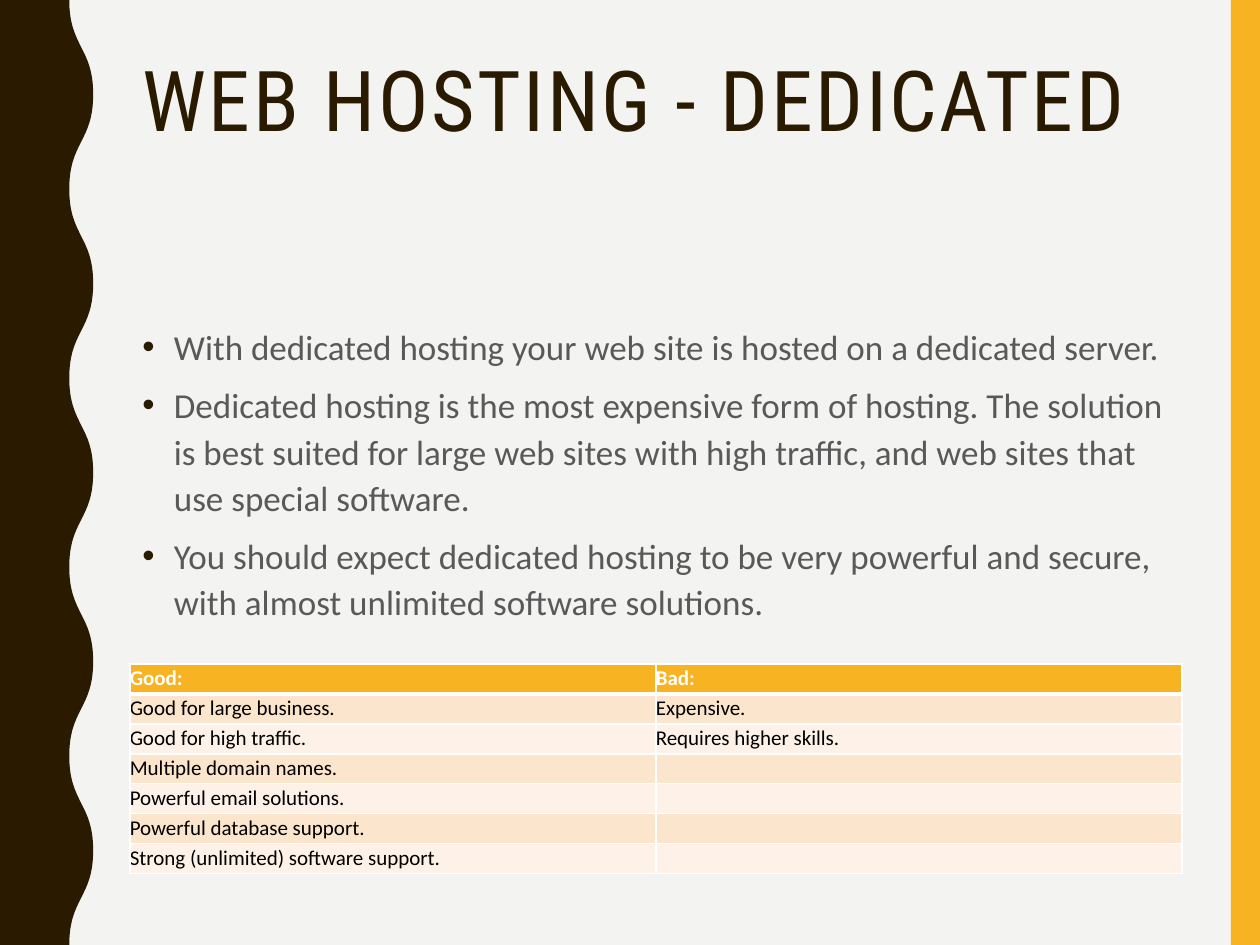
from lxml import etree
from pptx import Presentation
from pptx.dml.color import RGBColor
from pptx.enum.shapes import MSO_SHAPE
from pptx.enum.text import MSO_ANCHOR, MSO_AUTO_SIZE, PP_ALIGN
from pptx.oxml.ns import qn
from pptx.util import Inches, Pt

RECTANGLE = MSO_SHAPE.RECTANGLE
TOP, MIDDLE = MSO_ANCHOR.TOP, MSO_ANCHOR.MIDDLE
LEFT = PP_ALIGN.LEFT
NO_AUTOFIT = MSO_AUTO_SIZE.NONE

PAPER = RGBColor(0xF3, 0xF3, 0xF2)
AMBER = RGBColor(0xF8, 0xB3, 0x23)
BROWN = RGBColor(0x2A, 0x1A, 0x00)
GRAY = RGBColor(0x59, 0x59, 0x59)
PEACH = RGBColor(0xFC, 0xE5, 0xCD)
CREAM = RGBColor(0xFE, 0xF2, 0xE8)
WHITE = RGBColor(0xFF, 0xFF, 0xFF)
BLACK = RGBColor(0x00, 0x00, 0x00)

HEADING_FONT, TEXT_FONT = "Roboto Condensed", "Calibri"

TITLE = "WEB HOSTING - DEDICATED"
POINTS = [
    "With dedicated hosting your web site is hosted on a dedicated server.",
    "Dedicated hosting is the most expensive form of hosting. The solution is best "
    "suited for large web sites with high traffic, and web sites that use special software.",
    "You should expect dedicated hosting to be very powerful and secure, with almost "
    "unlimited software solutions.",
]
GOOD_AND_BAD = [
    ("Good:", "Bad:"),
    ("Good for large business.", "Expensive."),
    ("Good for high traffic.", "Requires higher skills."),
    ("Multiple domain names.", ""),
    ("Powerful email solutions.", ""),
    ("Powerful database support.", ""),
    ("Strong (unlimited) software support.", ""),
]


def add_run(paragraph, text, font, size, color, bold=False):
    """Add one formatted run to a paragraph and return it."""
    run = paragraph.add_run()
    run.text = text
    run.font.name = font
    run.font.size = Pt(size)
    run.font.bold = bold
    run.font.color.rgb = color
    return run


def paint(shape, color):
    """Give a shape a flat fill without line or shadow."""
    shape.shadow.inherit = False
    shape.fill.solid()
    shape.fill.fore_color.rgb = color
    shape.line.fill.background()


def curve_segment(segment, start, end):
    """Turn a straight outline segment into an S-curve with vertical ends."""
    middle = (start[1] + end[1]) // 2
    segment.tag = qn("a:cubicBezTo")
    for position, x in enumerate((start[0], end[0])):
        control = etree.Element(qn("a:pt"), x=str(x), y=str(middle))
        segment.insert(position, control)


def add_wave(slide, left, top, width, height, trough=0.55, waves=5):
    """Draw the wavy band with its right edge swinging between trough and width."""
    half = height / (2 * waves)
    edge = [
        (Inches(left + (width if index % 2 else trough)), Inches(top + half * index))
        for index in range(2 * waves + 1)
    ]
    corners = [(Inches(left), Inches(top + height)), (Inches(left), Inches(top))]
    builder = slide.shapes.build_freeform(*edge[0])
    builder.add_line_segments(edge[1:] + corners, close=True)
    band = builder.convert_to_shape()
    segments = list(band._element.iter(qn("a:lnTo")))
    local = [(x - Inches(left), y - Inches(top)) for x, y in edge]
    for segment, start, end in zip(segments, local, local[1:]):
        curve_segment(segment, start, end)
    paint(band, BROWN)


def add_side_bar(slide, left, top, width, height):
    """Draw the plain bar along the right side."""
    box = [Inches(value) for value in (left, top, width, height)]
    paint(slide.shapes.add_shape(RECTANGLE, *box), AMBER)


def place_text(placeholder, left, top, width, height):
    """Move a placeholder to its box and return its prepared text frame."""
    placeholder.left, placeholder.top = Inches(left), Inches(top)
    placeholder.width, placeholder.height = Inches(width), Inches(height)
    frame = placeholder.text_frame
    frame.auto_size = NO_AUTOFIT
    frame.word_wrap = True
    frame.vertical_anchor = TOP
    return frame


def fill_title(slide, left, top, width, height):
    """Write the letter-spaced title."""
    frame = place_text(slide.shapes.title, left, top, width, height)
    heading = frame.paragraphs[0]
    heading.alignment = LEFT
    heading.line_spacing = 0.9
    run = add_run(heading, TITLE, HEADING_FONT, 48, BROWN)
    run.font._element.set("spc", "150")


def add_bullet(paragraph):
    """Give a paragraph a hanging brown bullet."""
    properties = paragraph._p.get_or_add_pPr()
    properties.set("marL", str(Inches(0.25)))
    properties.set("indent", str(Inches(-0.25)))
    bullet_color = etree.SubElement(properties, qn("a:buClr"))
    etree.SubElement(bullet_color, qn("a:srgbClr"), val=str(BROWN))
    etree.SubElement(properties, qn("a:buFont"), typeface="Arial")
    etree.SubElement(properties, qn("a:buChar"), char="\u2022")


def fill_points(slide, left, top, width, height):
    """Write the bulleted list."""
    frame = place_text(slide.placeholders[1], left, top, width, height)
    for index, text in enumerate(POINTS):
        point = frame.add_paragraph() if index else frame.paragraphs[0]
        point.alignment = LEFT
        point.line_spacing = 1.1
        point.space_before = Pt(7)
        point.space_after = Pt(0)
        add_bullet(point)
        add_run(point, text, TEXT_FONT, 20, GRAY)


def add_header_borders(cell):
    """Draw white borders around a header cell, heavier below."""
    properties = cell._tc.get_or_add_tcPr()
    for tag, points in (("lnL", 1), ("lnR", 1), ("lnT", 1), ("lnB", 3)):
        line = etree.SubElement(properties, qn(f"a:{tag}"), w=str(Pt(points)))
        fill = etree.SubElement(line, qn("a:solidFill"))
        etree.SubElement(fill, qn("a:srgbClr"), val=str(WHITE))


def fill_cell(cell, text, row):
    """Format and write one cell by its row number."""
    header = row == 0
    if header:
        add_header_borders(cell)
    cell.fill.solid()
    cell.fill.fore_color.rgb = AMBER if header else PEACH if row % 2 else CREAM
    cell.margin_left = cell.margin_right = cell.margin_top = 0
    cell.margin_bottom = Inches(0.02)
    cell.vertical_anchor = TOP if row in (1, 2) else MIDDLE
    entry = cell.text_frame.paragraphs[0]
    if text:
        entry.line_spacing = 1.07
        entry.space_after = Pt(8)
        add_run(entry, text, TEXT_FONT, 12, WHITE if header else BLACK, header)
    else:
        etree.SubElement(entry._p, qn("a:endParaRPr"), sz="1200")


def add_comparison(slide, left, top, width, height):
    """Add the table of good and bad sides."""
    row_count, column_count = len(GOOD_AND_BAD), len(GOOD_AND_BAD[0])
    box = [Inches(value) for value in (left, top, width, height)]
    table = slide.shapes.add_table(row_count, column_count, *box).table
    for row, texts in enumerate(GOOD_AND_BAD):
        for column, text in enumerate(texts):
            fill_cell(table.cell(row, column), text, row)


def build_slide(presentation):
    """Build the dedicated hosting slide."""
    slide = presentation.slides.add_slide(presentation.slide_layouts[1])
    slide.background.fill.solid()
    slide.background.fill.fore_color.rgb = PAPER
    add_side_bar(slide, 9.77, 0, 0.23, 7.5)
    add_wave(slide, 0, 0, 0.74, 7.5)
    fill_title(slide, 1.03, 0.42, 8.35, 1.63)
    fill_points(slide, 1.03, 2.5, 8.35, 3.93)
    add_comparison(slide, 1.03, 5.27, 8.35, 1.64)


presentation = Presentation()
presentation.slide_width = Inches(10)
presentation.slide_height = Inches(7.5)
build_slide(presentation)
presentation.save("out.pptx")
